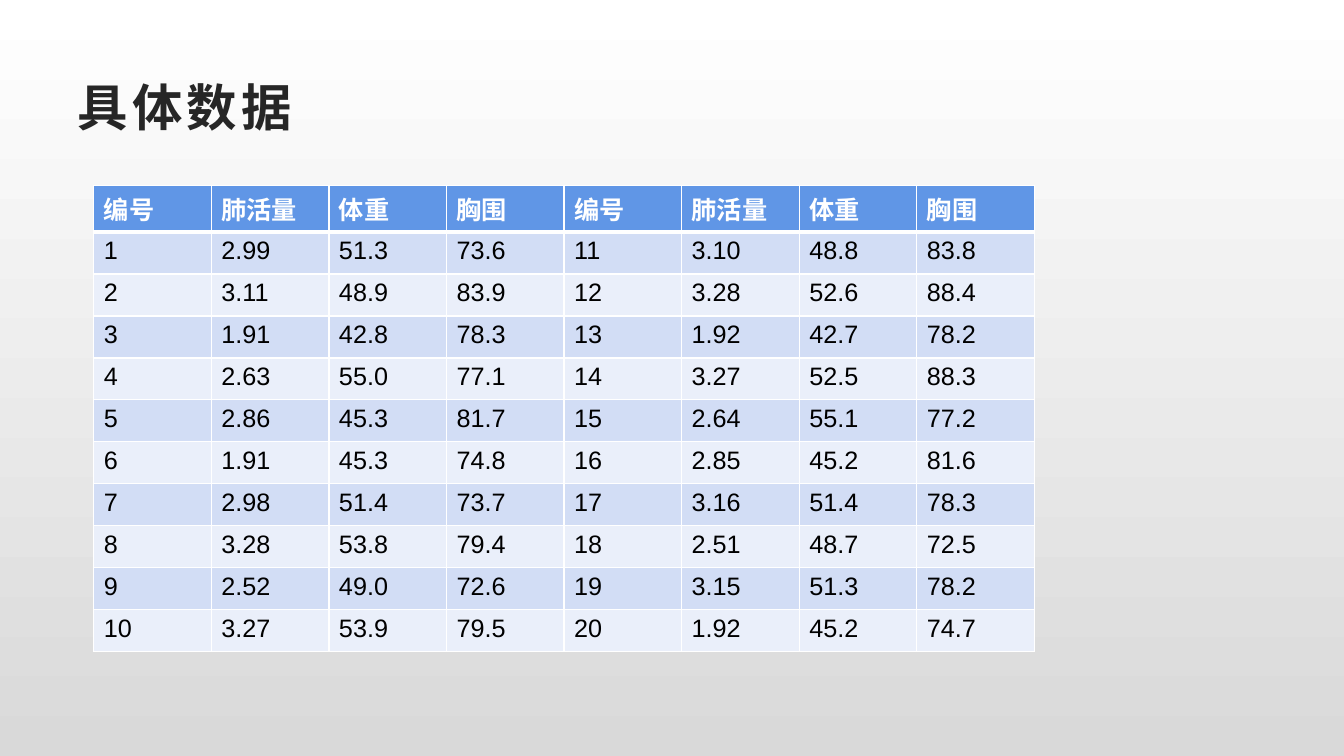
from pptx import Presentation
from pptx.dml.color import RGBColor
from pptx.enum.text import MSO_ANCHOR as Anchor, PP_ALIGN as Align
from pptx.oxml import parse_xml
from pptx.oxml.ns import nsdecls
from pptx.util import Inches, Pt

WHITE = RGBColor(0xFF, 0xFF, 0xFF)
BLACK = RGBColor(0x00, 0x00, 0x00)
TITLE_GRAY = RGBColor(0x26, 0x26, 0x26)
BACK_GRAY = RGBColor(0xD9, 0xD9, 0xD9)
HEADER_BLUE = RGBColor(0x60, 0x96, 0xE6)
BANDS = (RGBColor(0xD2, 0xDD, 0xF5), RGBColor(0xEA, 0xEF, 0xFA))

HEADINGS = ("编号", "肺活量", "体重", "胸围")
MEASUREMENTS = (
    ("2.99", "51.3", "73.6"), ("3.11", "48.9", "83.9"),
    ("1.91", "42.8", "78.3"), ("2.63", "55.0", "77.1"),
    ("2.86", "45.3", "81.7"), ("1.91", "45.3", "74.8"),
    ("2.98", "51.4", "73.7"), ("3.28", "53.8", "79.4"),
    ("2.52", "49.0", "72.6"), ("3.27", "53.9", "79.5"),
    ("3.10", "48.8", "83.8"), ("3.28", "52.6", "88.4"),
    ("1.92", "42.7", "78.2"), ("3.27", "52.5", "88.3"),
    ("2.64", "55.1", "77.2"), ("2.85", "45.2", "81.6"),
    ("3.16", "51.4", "78.3"), ("2.51", "48.7", "72.5"),
    ("3.15", "51.3", "78.2"), ("1.92", "45.2", "74.7"),
)


def write(frame, text, size=18, color=BLACK, bold=False, spacing=0):
    para = frame.paragraphs[0]
    para.alignment = Align.LEFT
    span = para.add_run()
    span.text = text
    span.font.name = "Arial"
    span.font.size = Pt(size)
    span.font.bold = bold
    span.font.color.rgb = color
    if spacing:
        span.font._element.set("spc", str(spacing * 100))


def paint_background(page):
    fill = page.background.fill
    fill.gradient()
    fill.gradient_angle = 270
    for stop, color in zip(fill.gradient_stops, (WHITE, BACK_GRAY)):
        stop.color.rgb = color


def place_title(page, text, left, top, width, height):
    title = page.shapes.title
    title.left, title.top = left, top
    title.width, title.height = width, height
    title.text_frame.vertical_anchor = Anchor.MIDDLE
    write(title.text_frame, text, size=36, color=TITLE_GRAY, bold=True, spacing=3)


def add_borders(cell, **widths):
    properties = cell._tc.get_or_add_tcPr()
    for side in "LRTB":
        properties.append(parse_xml(
            f'<a:ln{side} {nsdecls("a")} w="{Pt(widths.get(side, 1))}">'
            f'<a:solidFill><a:srgbClr val="{WHITE}"/></a:solidFill></a:ln{side}>'))


def place_data_table(page, left, top, width, height):
    records = [(str(number), *values) for number, values in enumerate(MEASUREMENTS, 1)]
    half = len(records) // 2
    rows = [HEADINGS * 2]
    rows += [first + second for first, second in zip(records[:half], records[half:])]
    table = page.shapes.add_table(len(rows), len(rows[0]), left, top, width, height).table
    table.horz_banding = False
    for column in table.columns:
        column.width = width // len(rows[0])
    for index, texts in enumerate(rows):
        table.rows[index].height = height // len(rows)
        header = index == 0
        for cell, text in zip(table.rows[index].cells, texts):
            add_borders(cell, T=3 if index == 1 else 1, B=3 if header else 1)
            cell.fill.solid()
            cell.fill.fore_color.rgb = HEADER_BLUE if header else BANDS[(index - 1) % 2]
            write(cell.text_frame, text, color=WHITE if header else BLACK, bold=header)


def main():
    deck = Presentation()
    deck.slide_width, deck.slide_height = Inches(13.33), Inches(7.5)
    page = deck.slides.add_slide(deck.slide_layouts[5])
    paint_background(page)
    place_title(page, "具体数据", Inches(0.67), Inches(0.67), Inches(12), Inches(0.77))
    place_data_table(page, Inches(0.93), Inches(1.84), Inches(9.33), Inches(4.58))
    deck.save("out.pptx")


if __name__ == "__main__":
    main()
